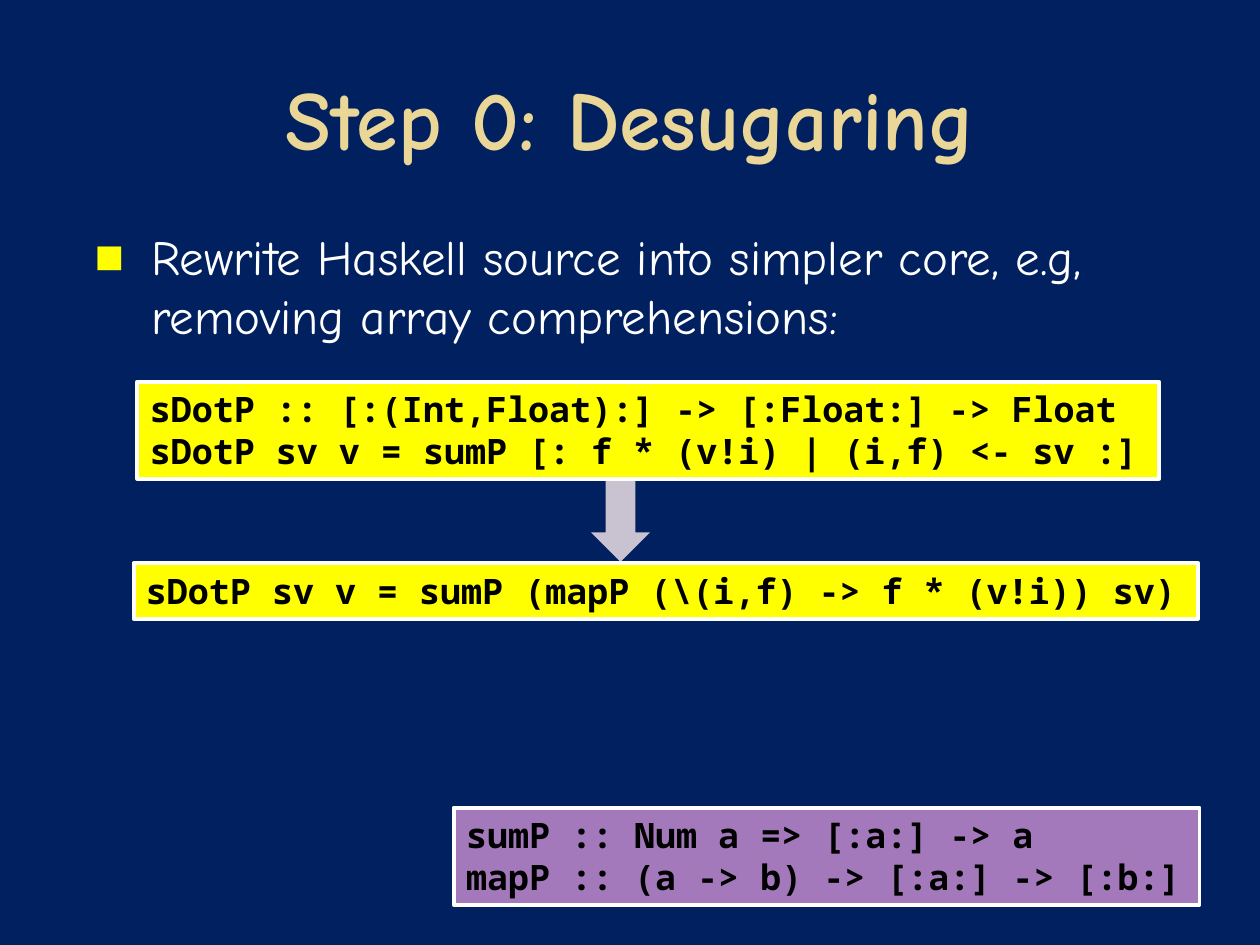
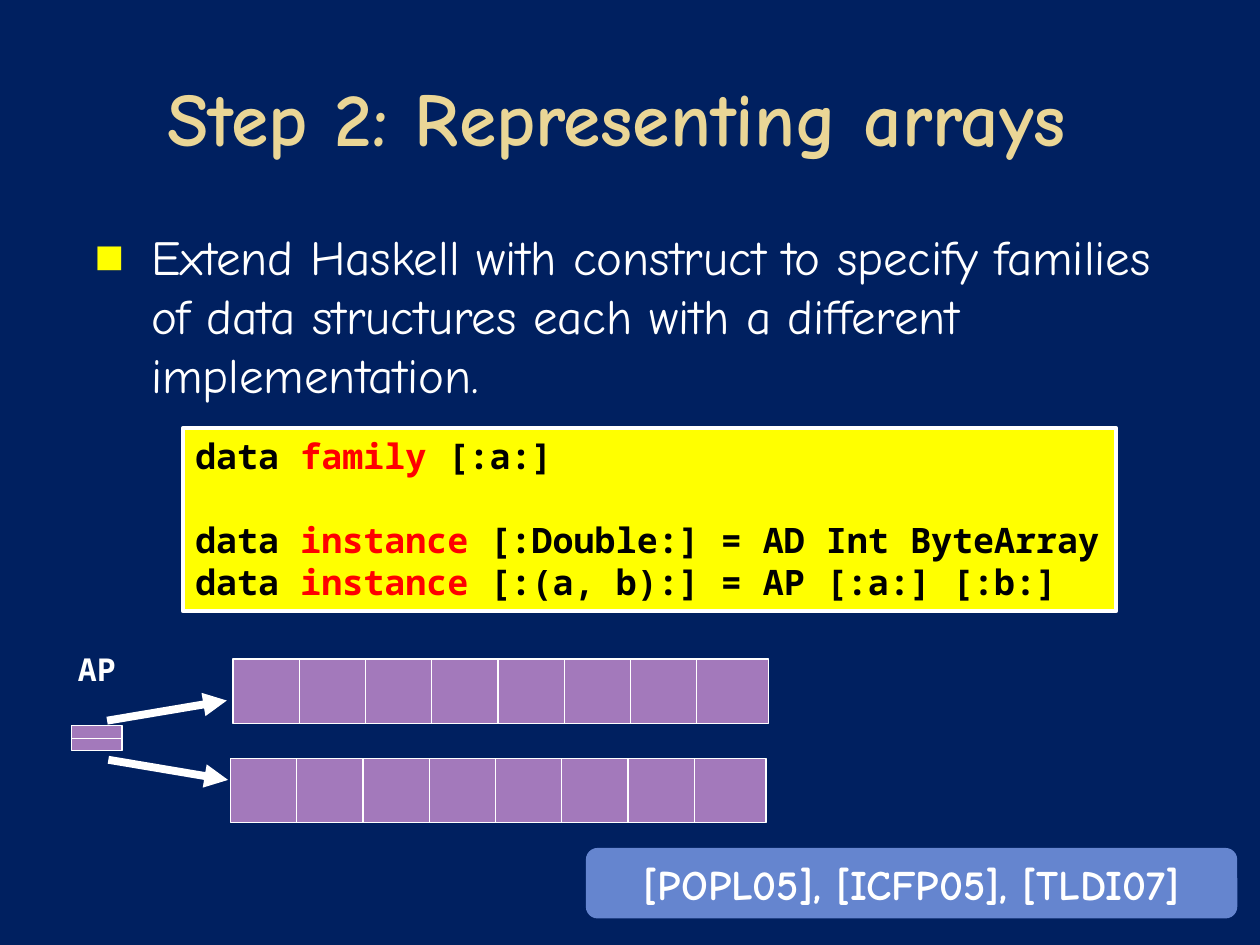
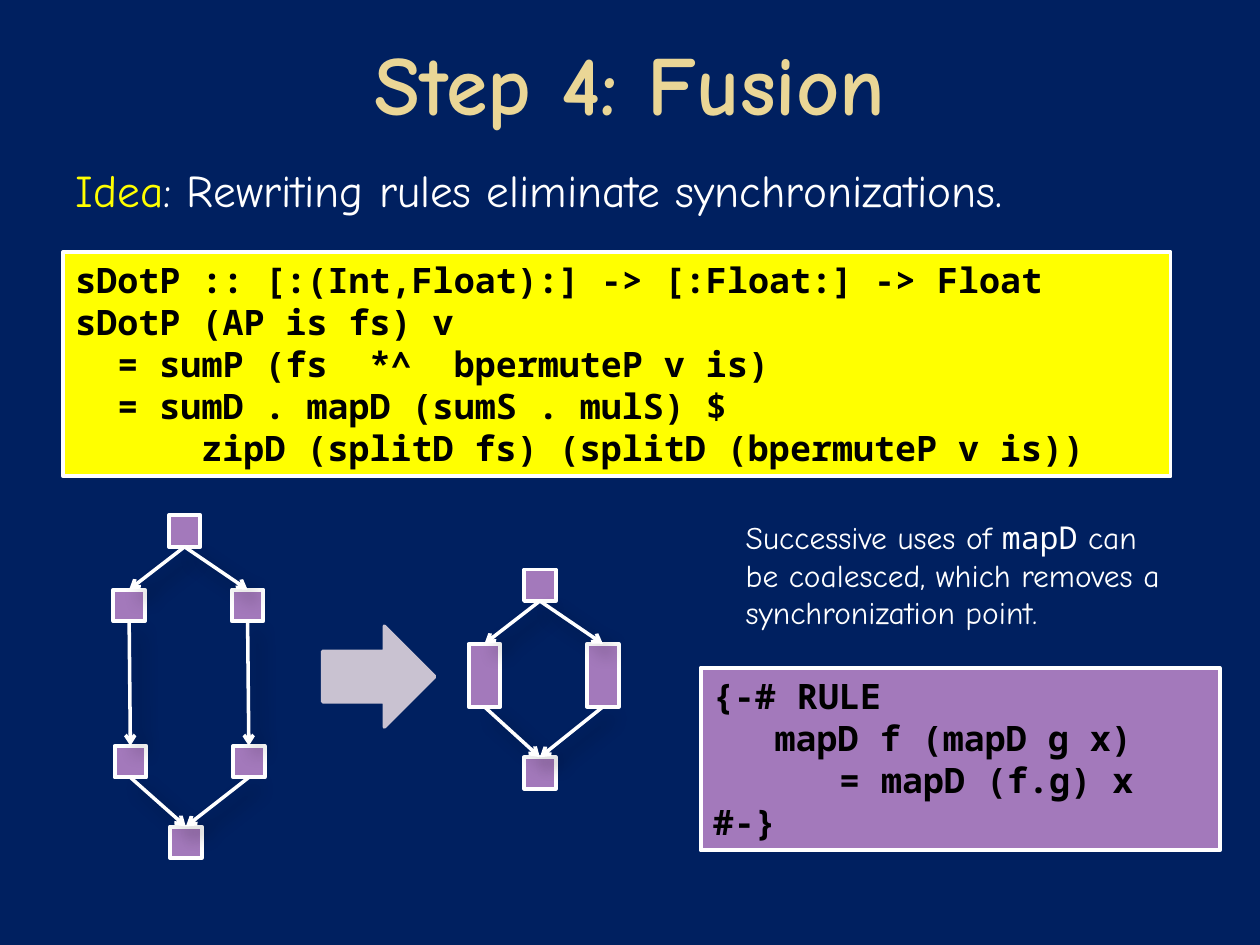
from lxml import etree
from pptx import Presentation
from pptx.dml.color import RGBColor
from pptx.enum.shapes import MSO_CONNECTOR, MSO_SHAPE
from pptx.enum.text import MSO_ANCHOR, MSO_AUTO_SIZE, PP_ALIGN
from pptx.oxml import parse_xml
from pptx.oxml.ns import nsdecls, qn
from pptx.util import Inches, Pt

RECT = MSO_SHAPE.RECTANGLE
ROUND = MSO_SHAPE.ROUNDED_RECTANGLE
DOWN = MSO_SHAPE.DOWN_ARROW
RIGHT = MSO_SHAPE.RIGHT_ARROW
LINE = MSO_CONNECTOR.STRAIGHT
TOP, MIDDLE = MSO_ANCHOR.TOP, MSO_ANCHOR.MIDDLE
LEFT, CENTER = PP_ALIGN.LEFT, PP_ALIGN.CENTER
FIXED = MSO_AUTO_SIZE.NONE

HUES = {
    "navy": "002060", "gold": "EAD696", "white": "FFFFFF", "yellow": "FFFF00",
    "black": "000000", "red": "FF0000", "purple": "A379BB", "gray": "C9C2D1",
    "blue": "6585CF",
}
INK = {name: RGBColor.from_string(code) for name, code in HUES.items()}
HAND, CODE = "Comic Neue", "Noto Sans Mono"


def box(page, kind, spot, fill, rim=None, thick=2.25):
    shape = page.shapes.add_shape(kind, *map(Inches, spot))
    shape.shadow.inherit = False
    shape.fill.solid()
    shape.fill.fore_color.rgb = INK[fill]
    if rim:
        shape.line.color.rgb = INK[rim]
        shape.line.width = Pt(thick)
    else:
        shape.line.fill.background()
    return shape


def write(frame, rows, size, face, bold=False, align=LEFT, anchor=TOP):
    frame.word_wrap = True
    frame.auto_size = FIXED
    frame.vertical_anchor = anchor
    for i, row in enumerate(rows):
        para = frame.paragraphs[0] if i == 0 else frame.add_paragraph()
        para.alignment = align
        para.space_before = Pt(0)
        for text, hue, *other in row:
            run = para.add_run()
            run.text = text
            run.font.size = Pt(size)
            run.font.name = other[0] if other else face
            run.font.bold = bold
            run.font.color.rgb = INK[hue]


deck = Presentation()
deck.slide_width, deck.slide_height = Inches(10), Inches(7.5)
back = deck.slide_master.background.fill
back.solid()
back.fore_color.rgb = INK["navy"]

HEAD, BODY = (0.5, 0.3, 9, 1.25), (0.5, 1.75, 9, 5.15)
plans = [
    ("Step 0: Desugaring", 48, HEAD, BODY, 28, True,
     [("Rewrite Haskell source into simpler core, e.g, "
       "removing array comprehensions:", "white")]),
    ("Step 2: Representing arrays ", 43.2, HEAD, BODY, 28, True,
     [("Extend Haskell with construct to specify families of data structures "
       "each with a different implementation.", "white")]),
    ("Step 4: Fusion", 48, (0.5, 0.12, 9, 1.06), (0.5, 1.24, 9.18, 0.93), 25.9, False,
     [("Idea", "yellow"), (": Rewriting rules eliminate synchronizations.", "white")]),
]
pages = []
for title, big, head, body, size, mark, runs in plans:
    page = deck.slides.add_slide(deck.slide_layouts[1])
    pages.append(page)
    holds = [page.shapes.title, page.placeholders[1]]
    for hold, spot in zip(holds, (head, body)):
        hold.left, hold.top, hold.width, hold.height = map(Inches, spot)
    write(holds[0].text_frame, [[(title, "gold")]], big, HAND, True, CENTER, MIDDLE)
    write(holds[1].text_frame, [runs], size, HAND)
    props = holds[1].text_frame.paragraphs[0]._p.get_or_add_pPr()
    props.set("marL", str(Inches(0.6 if mark else 0)))
    props.set("indent", str(Inches(-0.45 if mark else 0)))
    if mark:
        tint = etree.SubElement(props, qn("a:buClr"))
        etree.SubElement(tint, qn("a:srgbClr"), val=HUES["yellow"])
        etree.SubElement(props, qn("a:buFont"), typeface="Arial")
        etree.SubElement(props, qn("a:buChar"), char="■")
    else:
        etree.SubElement(props, qn("a:buNone"))

sugar, arrays, fusion = pages

box(sugar, DOWN, (4.69, 3.68, 0.47, 0.78), "gray")
kind = "sDotP :: [:(Int,Float):] -> [:Float:] -> Float"
blocks = [
    (sugar, (1.09, 3.03, 8.11, 0.77), "yellow",
     [kind, "sDotP sv v = sumP [: f * (v!i) | (i,f) <- sv :]"]),
    (sugar, (1.06, 4.47, 8.45, 0.44), "yellow",
     ["sDotP sv v = sumP (mapP (\\(i,f) -> f * (v!i)) sv)"]),
    (sugar, (3.6, 6.41, 5.92, 0.77), "purple",
     ["sumP :: Num a => [:a:] -> a", "mapP :: (a -> b) -> [:a:] -> [:b:]"]),
    (arrays, (1.45, 3.4, 7.41, 1.45), "yellow",
     ["data |family| [:a:]",
      "data |instance| [:Double:] = AD Int ByteArray",
      "data |instance| [:(a, b):] = AP [:a:] [:b:]"]),
    (fusion, (5.56, 5.3, 4.12, 1.45), "purple",
     ["{-# RULE", "\tmapD f (mapD g x)", "      = mapD (f.g) x", "#-}"]),
    (fusion, (0.5, 2, 8.79, 1.78), "yellow",
     [kind, "sDotP (AP is fs) v",
      "  = sumP (fs  *^  bpermuteP v is)",
      "  = sumD . mapD (sumS . mulS) $",
      "\t\t   zipD (splitD fs) (splitD (bpermuteP v is))"]),
]
for page, spot, fill, lines in blocks:
    frame = box(page, RECT, spot, fill, "white").text_frame
    bars = [line.split("|") if page is arrays else [line] for line in lines]
    rows = [[(part, "red" if i == 1 else "black") for i, part in enumerate(bar)]
            for bar in bars]
    write(frame, rows, 20, CODE, True)
    if page is arrays:
        frame.paragraphs[1].space_before = Pt(24)
    for para in frame.paragraphs:
        tabs = etree.SubElement(para._p.get_or_add_pPr(), qn("a:tabLst"))
        etree.SubElement(tabs, qn("a:tab"), pos=str(Inches(0.49)), algn="l")

cite = box(arrays, ROUND, (4.65, 6.73, 5.17, 0.56), "blue")
cite.adjustments[0] = 0.167
write(cite.text_frame, [[("[POPL05], [ICFP05], [TLDI07]", "white")]],
      24, HAND, True, CENTER, MIDDLE)

wires = []
pair = box(arrays, RECT, (0.57, 5.76, 0.4, 0.2), "purple", "white", 0.75)
wires.append((arrays, (pair, 3), (pair, 1), 0.75))
for left, top in ((1.85, 5.23), (1.83, 6.02)):
    box(arrays, RECT, (left, top, 4.25, 0.51), "purple", "white", 0.75)
    for i in range(1, 8):
        x = left + i * 3.68 / 7
        wires.append((arrays, (x, top), (x, top + 0.51), 0.75))
wires.append((arrays, (0.85, 5.72), (1.8, 5.56), 4.5))
wires.append((arrays, (0.86, 6.03), (1.81, 6.19), 4.5))

notes = [
    (arrays, (0.52, 5.11, 0.6, 0.4), CODE, True, [[("AP", "white")]]),
    (fusion, (5.82, 4.06, 3.7, 1.01), HAND, False,
     [[("Successive uses of ", "white"), ("mapD", "white", CODE), (" can", "white")],
      [("be coalesced, which removes a", "white")],
      [("synchronization point.", "white")]]),
]
for page, spot, face, bold, rows in notes:
    note = page.shapes.add_textbox(*map(Inches, spot))
    write(note.text_frame, rows, 18, face, bold)

box(fusion, RIGHT, (2.56, 4.97, 0.89, 0.8), "gray", "gray", 2)
graphs = [
    ([(1.34, 4.09, 0.25), (0.9, 4.68, 0.25), (1.84, 4.68, 0.25),
      (0.91, 5.92, 0.25), (1.85, 5.92, 0.25), (1.35, 6.56, 0.25)],
     [(0, 1), (0, 2), (1, 3), (2, 4), (3, 5), (4, 5)]),
    ([(4.16, 4.52, 0.25), (3.72, 5.11, 0.5), (4.66, 5.11, 0.5), (4.16, 6.01, 0.25)],
     [(0, 1), (0, 2), (1, 3), (2, 3)]),
]
for spots, edges in graphs:
    nodes = [box(fusion, RECT, (x, y, 0.25, tall), "purple", "white")
             for x, y, tall in spots]
    wires += [(fusion, (nodes[a], 2), (nodes[b], 0), 2) for a, b in edges]

TIPS = {4.5: "triangle", 2: "arrow"}
SHADE = (
    f'<a:outerShdw {nsdecls("a")} blurRad="{Pt(10.2)}" dist="{Pt(8)}" dir="2700000" '
    'algn="tl" rotWithShape="0"><a:srgbClr val="000000"><a:alpha val="35000"/>'
    '</a:srgbClr></a:outerShdw>'
)
for page, start, end, thick in wires:
    joined = not isinstance(start[0], (int, float))
    ends = (0, 0, 0, 0) if joined else start + end
    wire = page.shapes.add_connector(LINE, *map(Inches, ends))
    if joined:
        wire.begin_connect(*start)
        wire.end_connect(*end)
    wire.line.color.rgb = INK["white"]
    wire.line.width = Pt(thick)
    if thick in TIPS:
        etree.SubElement(wire.line._get_or_add_ln(), qn("a:tailEnd"), type=TIPS[thick])
    effect = etree.SubElement(wire._element.spPr, qn("a:effectLst"))
    if page is fusion:
        effect.append(parse_xml(SHADE))

deck.save("out.pptx")
